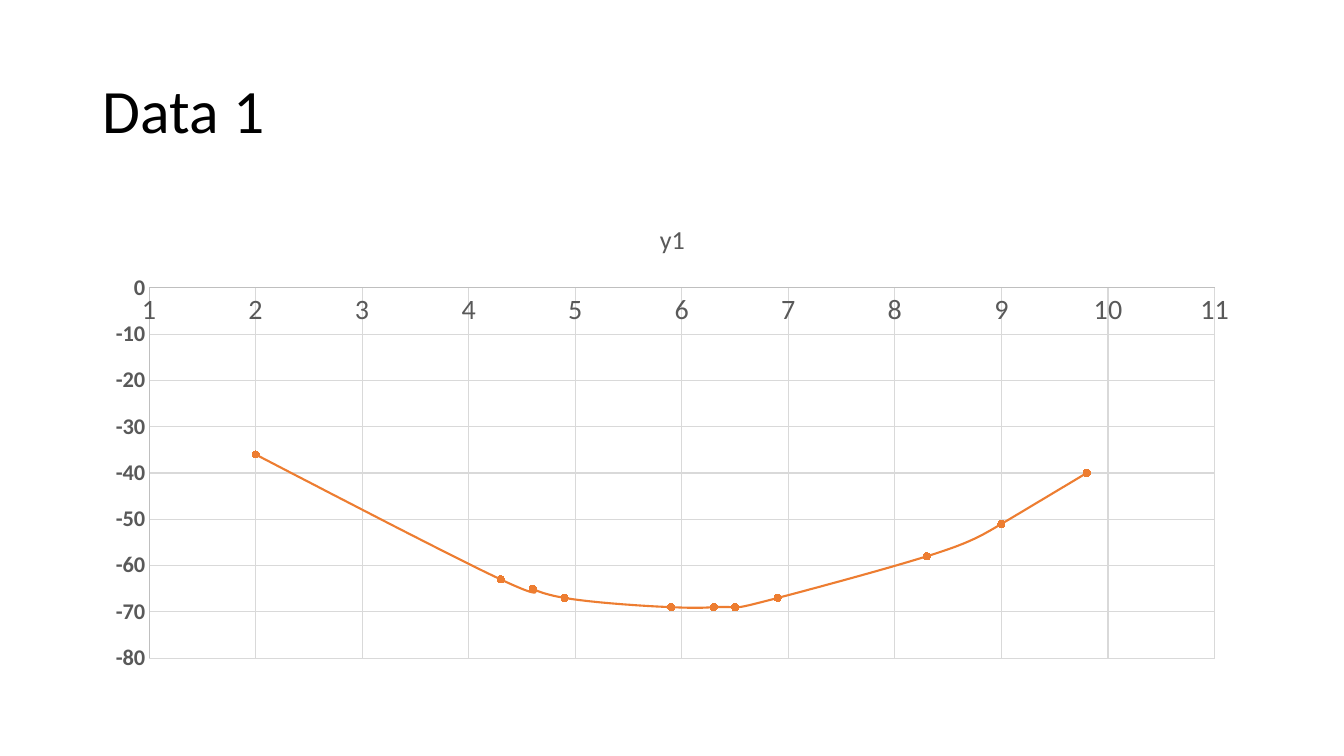
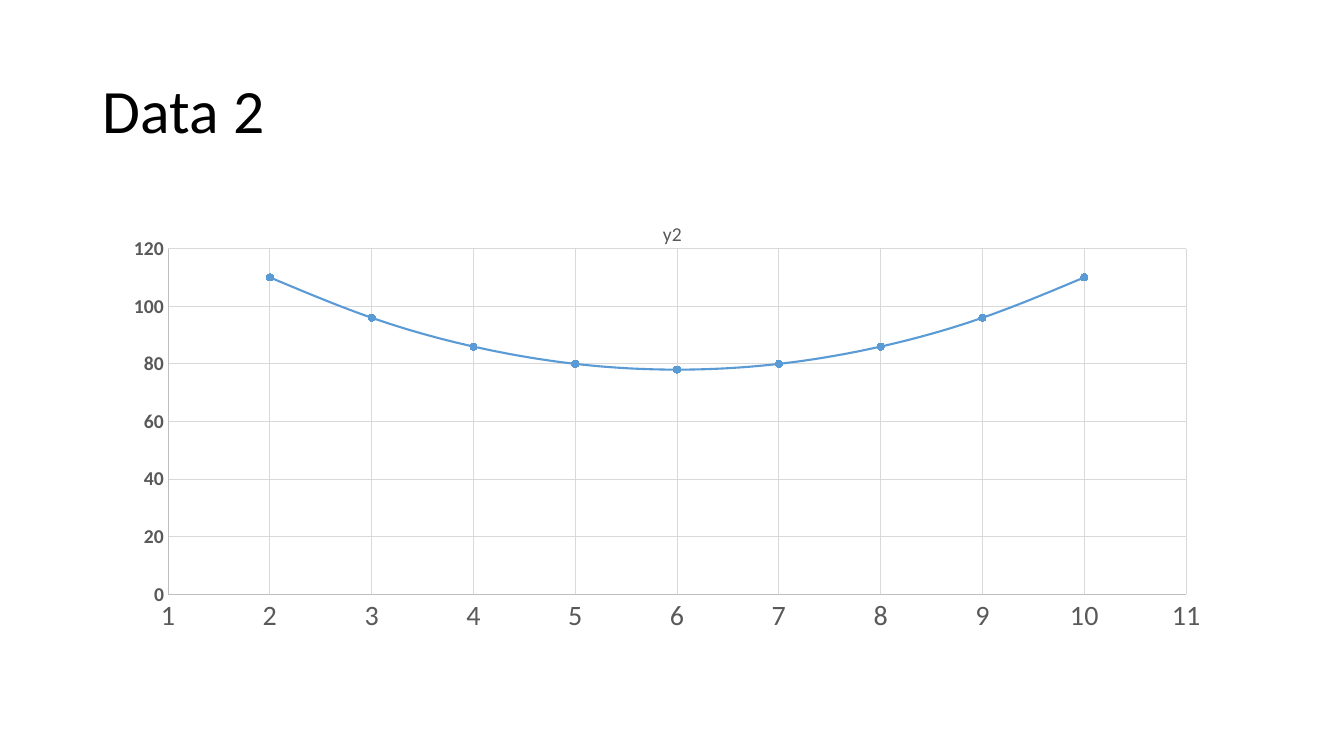
from pptx import Presentation
from pptx.chart.data import XyChartData
from pptx.dml.color import RGBColor
from pptx.enum.chart import XL_CHART_TYPE as ChartType
from pptx.enum.chart import XL_MARKER_STYLE as MarkerStyle
from pptx.enum.chart import XL_TICK_MARK as TickMark
from pptx.enum.text import MSO_ANCHOR as Anchor
from pptx.enum.text import PP_ALIGN as Align
from pptx.oxml import parse_xml
from pptx.oxml.ns import nsdecls, qn
from pptx.util import Inches, Pt

COLORS = {
    "title": "000000",
    "label": "595959",
    "axis": "BFBFBF",
    "grid": "D9D9D9",
    "orange": "ED7D31",
    "blue": "5B9BD5",
}


def rgb(name):
    return RGBColor.from_string(COLORS[name])


class Deck:
    """Shared style and the slide being built."""

    FONT = "Calibri"
    LEFT, WIDTH = 0.92, 11.5

    def __init__(self):
        self.prs = Presentation()
        self.prs.slide_width = Inches(13.33)
        self.prs.slide_height = Inches(7.5)
        self.slide = None

    def style_font(self, font, size, color="label", bold=False):
        font.name = self.FONT
        font.size = Pt(size)
        font.bold = bold
        font.color.rgb = rgb(color)

    def style_line(self, line, color, width=0.75):
        line.color.rgb = rgb(color)
        line.width = Pt(width)

    def box(self, top, height):
        return [Inches(n) for n in (self.LEFT, top, self.WIDTH, height)]

    def add_slide(self, heading):
        self.slide = self.prs.slides.add_slide(self.prs.slide_layouts[5])
        title = self.slide.shapes.title
        title.left, title.top, title.width, title.height = self.box(0.4, 1.45)
        frame = title.text_frame
        frame.text = heading
        frame.vertical_anchor = Anchor.MIDDLE
        paragraph = frame.paragraphs[0]
        paragraph.alignment = Align.LEFT
        paragraph.line_spacing = 0.9
        self.style_font(paragraph.runs[0].font, 44, "title")

    def add_curve(self, name, points, color, heading, heading_size,
                  y_range, y_size, plot=None):
        data = XyChartData()
        curve = data.add_series(name)
        for x, y in points:
            curve.add_data_point(x, y)
        chart = self.slide.shapes.add_chart(
            ChartType.XY_SCATTER_SMOOTH, *self.box(2, 4.76), data).chart
        chart.has_legend = False
        chart.font.name, chart.font.size = "Arial", Pt(10)
        chart.plots[0].vary_by_categories = False

        # Chart heading
        chart.has_title = True
        chart.chart_title.include_in_layout = False
        frame = chart.chart_title.text_frame
        frame.text = heading
        self.style_font(frame.paragraphs[0].runs[0].font, heading_size)

        # Axes and curve
        self.style_axis(chart.category_axis, (1, 11, 1), 20)
        self.style_axis(chart.value_axis, y_range, y_size, bold=True)
        self.style_series(chart.plots[0].series[0], color)
        if plot:
            self.place_plot(chart, plot)

    def style_axis(self, axis, scale, size, bold=False):
        axis.minimum_scale, axis.maximum_scale, axis.major_unit = scale
        axis.major_tick_mark = axis.minor_tick_mark = TickMark.NONE
        axis.has_major_gridlines = True
        axis.tick_labels.number_format = "General"
        axis.tick_labels.number_format_is_linked = False
        self.style_font(axis.tick_labels.font, size, bold=bold)
        self.style_line(axis.format.line, "axis")
        self.style_line(axis.major_gridlines.format.line, "grid")

    def style_series(self, series, color):
        self.style_line(series.format.line, color, 1.5)
        marker = series.marker
        marker.style, marker.size = MarkerStyle.CIRCLE, 5
        marker.format.fill.solid()
        marker.format.fill.fore_color.rgb = rgb(color)
        self.style_line(marker.format.line, color)
        element = series._element
        smooth = element.find(qn("c:smooth"))
        if smooth is None:
            smooth = parse_xml(f"<c:smooth {nsdecls('c')}/>")
            element.append(smooth)
        smooth.set("val", "1")

    def place_plot(self, chart, plot):
        """Fix the inner plot area as fractions of the chart."""
        area = chart._chartSpace.chart.plotArea
        old = area.find(qn("c:layout"))
        if old is not None:
            area.remove(old)
        sizes = "".join(f'<c:{tag} val="{value}"/>'
                        for tag, value in zip("xywh", plot))
        area.insert(0, parse_xml(
            f'<c:layout {nsdecls("c")}><c:manualLayout>'
            '<c:layoutTarget val="inner"/>'
            '<c:xMode val="edge"/><c:yMode val="edge"/>'
            f'{sizes}</c:manualLayout></c:layout>'))


def main():
    deck = Deck()

    # Data 1: measured points
    deck.add_slide("Data 1")
    measured = [(2, -36), (4.3, -63), (4.6, -65), (4.9, -67), (5.9, -69),
                (6.3, -69), (6.5, -69), (6.9, -67), (8.3, -58), (9, -51),
                (9.8, -40)]
    deck.add_curve("y1", measured, "orange", "y1", 18.6, (-80, 0, 10), 16)

    # Data 2: parabola around x = 6
    deck.add_slide("Data 2")
    parabola = [(x, 78 + 2 * (x - 6) ** 2) for x in range(2, 11)]
    deck.add_curve("Series 1", parabola, "blue", "y2", 14, (0, 120, 20), 14,
                   plot=(0.065, 0.098, 0.878, 0.721))

    deck.prs.save("out.pptx")


if __name__ == "__main__":
    main()
